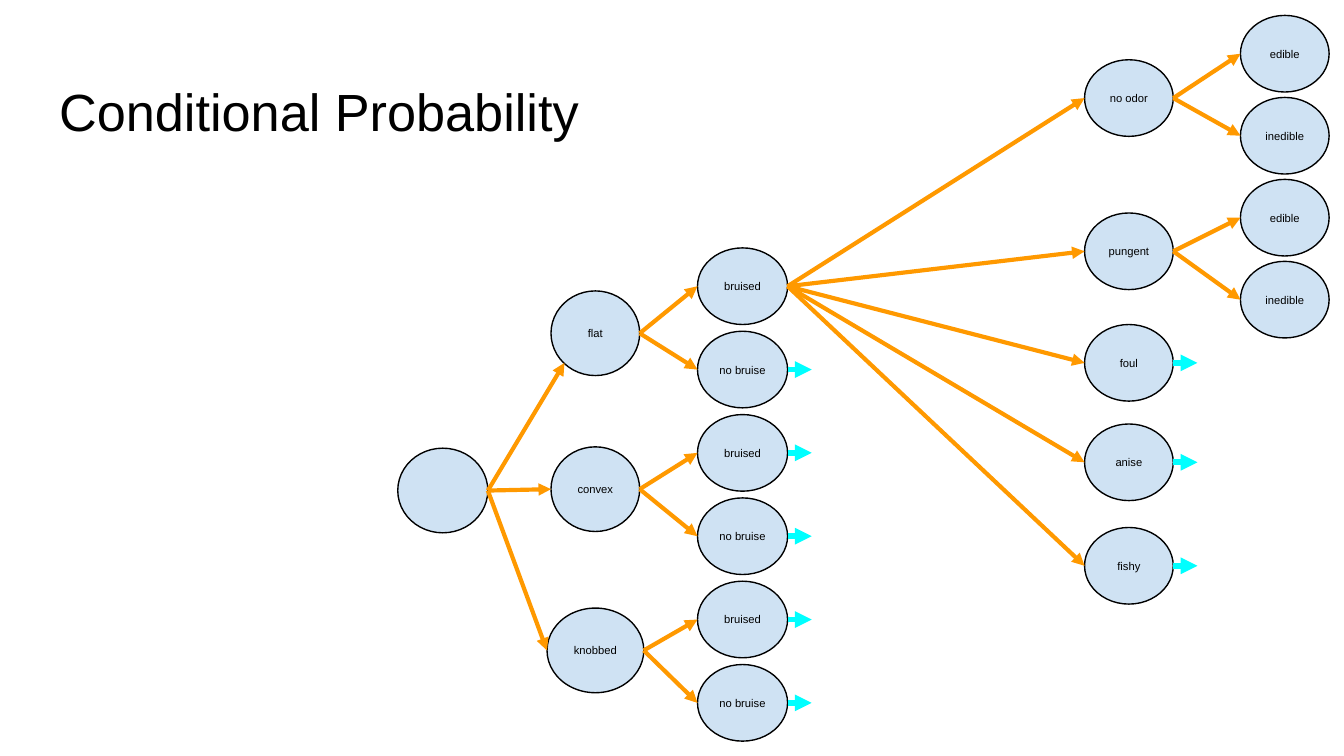
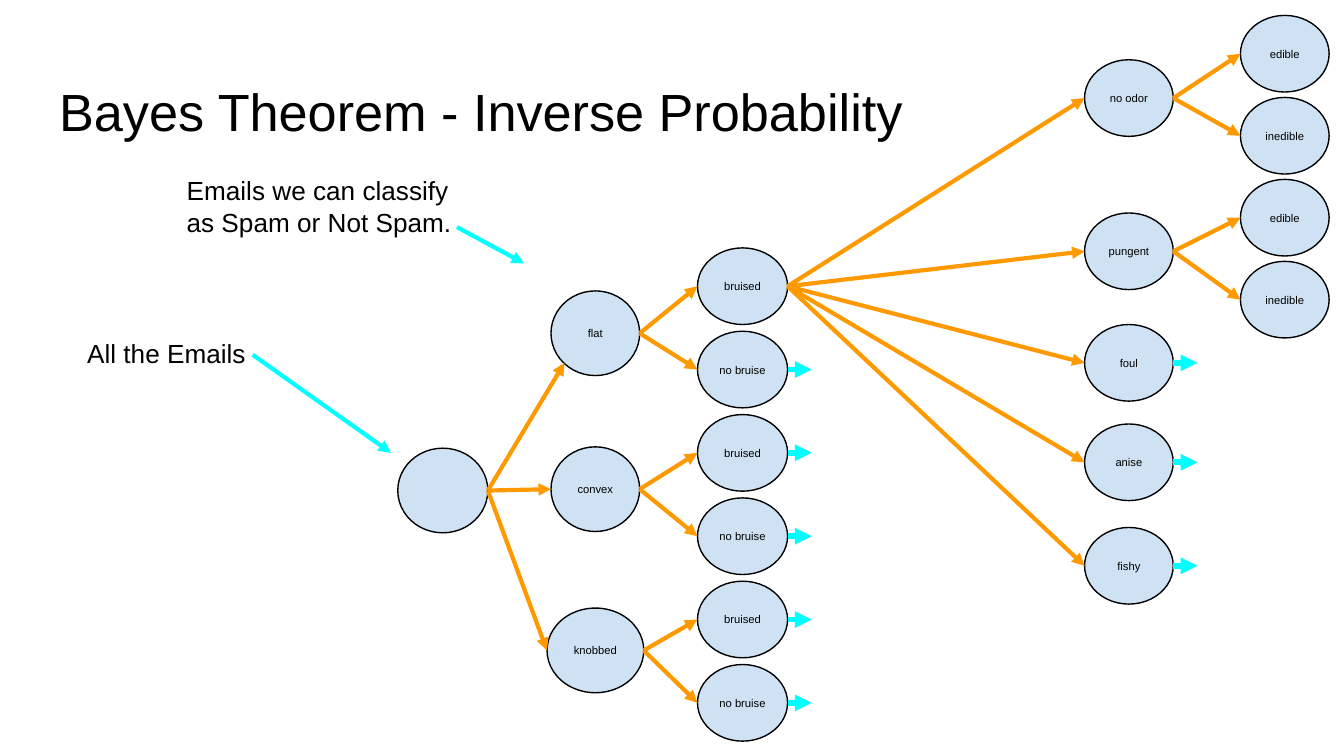
"""Build two slides that share one probability tree of mushroom features."""
from lxml import etree
from pptx import Presentation, util as u
from pptx.dml.color import RGBColor
from pptx.enum import shapes, text
from pptx.oxml import ns

INK, BUBBLE, BRANCH, MORE = "000000", "CFE2F3", "FF9900", "00FFFF"
rgb = RGBColor.from_string


def write(shape, content, size=6, align=text.PP_ALIGN.LEFT,
          anchor=text.MSO_ANCHOR.TOP, side=0.1):
    """Put formatted text into a shape."""
    frame = shape.text_frame
    frame.word_wrap = True
    frame.auto_size = text.MSO_AUTO_SIZE.NONE
    frame.vertical_anchor = anchor
    frame.margin_left = frame.margin_right = u.Inches(side)
    frame.margin_top = frame.margin_bottom = u.Inches(0.1)
    paragraph = frame.paragraphs[0]
    paragraph.alignment = align
    run = paragraph.add_run()
    run.text = content
    run.font.name = "Arial"
    run.font.size = u.Pt(size)
    run.font.color.rgb = rgb(INK)


def arrow(slide, start, end, color, weight=2.25):
    """Draw a straight arrow between two points in inches."""
    line = slide.shapes.add_connector(
        shapes.MSO_CONNECTOR.STRAIGHT, *(u.Inches(v) for v in (*start, *end)))
    line.line.color.rgb = rgb(color)
    line.line.width = u.Pt(weight)
    etree.SubElement(line.line._get_or_add_ln(), ns.qn("a:tailEnd"), type="triangle")
    etree.SubElement(line._element.spPr, ns.qn("a:effectLst"))


ROOT = ("", 2.96, 3.65, 0.67, 0.63)
CAPS = [("flat", 4.1, 2.48, 0.66, 0.63),
        ("convex", 4.1, 3.64, 0.66, 0.63),
        ("knobbed", 4.07, 4.84, 0.72, 0.63)]
BRUISES = [(("bruised", "no bruise")[i % 2], 5.19, 2.13 + 0.62 * i, 0.67, 0.57)
           for i in range(6)]
ODORS = [(label, 8.07, middle, 0.66, 0.57) for label, middle in
         [("no odor", 0.73), ("pungent", 1.87), ("foul", 2.7), ("anise", 3.44), ("fishy", 4.21)]]
VERDICTS = [(("edible", "inedible")[i % 2], 9.23, 0.4 + 0.61 * i, 0.66, 0.57)
            for i in range(4)]

NODES = [ROOT, *CAPS, *BRUISES, *ODORS, *VERDICTS]
EDGES = ([(ROOT, cap) for cap in CAPS]
         + [(CAPS[i // 2], bruise) for i, bruise in enumerate(BRUISES)]
         + [(BRUISES[0], odor) for odor in ODORS]
         + [(ODORS[i // 2], verdict) for i, verdict in enumerate(VERDICTS)])
UNFINISHED = BRUISES[1:] + ODORS[2:]

NOTES = [("All the Emails", (0.55, 2.41, 1.42, 0.57), (1.88, 2.64), (2.91, 3.37)),
         ("Emails we can classify as Spam or Not Spam.", (1.29, 1.2, 2.21, 0.57),
          (3.4, 1.69), (3.9, 1.96))]

deck = Presentation()
deck.slide_width = u.Inches(10)
deck.slide_height = deck.slide_width * 9 // 16

for heading, notes in [("Conditional Probability", []),
                       ("Bayes Theorem - Inverse Probability", NOTES)]:
    slide = deck.slides.add_slide(deck.slide_layouts[5])
    title = slide.shapes.title
    title.left, title.top = u.Inches(0.34), u.Inches(0.49)
    title.width, title.height = u.Inches(9.32), u.Inches(0.63)
    write(title, heading, size=28)

    for label, left, middle, width, height in NODES:
        bubble = slide.shapes.add_shape(
            shapes.MSO_SHAPE.OVAL, u.Inches(left), u.Inches(middle - height / 2),
            u.Inches(width), u.Inches(height))
        bubble.shadow.inherit = False
        bubble.fill.solid()
        bubble.fill.fore_color.rgb = rgb(BUBBLE)
        bubble.line.color.rgb = rgb(INK)
        bubble.line.width = u.Pt(0.75)
        if label:
            write(bubble, label, align=text.PP_ALIGN.CENTER,
                  anchor=text.MSO_ANCHOR.MIDDLE, side=0)

    for parent, child in EDGES:
        _, left, middle, width, _ = parent
        target = (4.2, 2.7) if child[0] == "flat" else child[1:3]
        arrow(slide, (left + width, middle), target, BRANCH)

    for _, left, middle, width, _ in UNFINISHED:
        edge = left + width
        arrow(slide, (edge, middle), (edge + 0.18, middle), MORE, weight=3)

    for remark, box, start, end in notes:
        write(slide.shapes.add_textbox(*map(u.Inches, box)), remark, size=14)
        arrow(slide, start, end, MORE)

deck.save("out.pptx")
